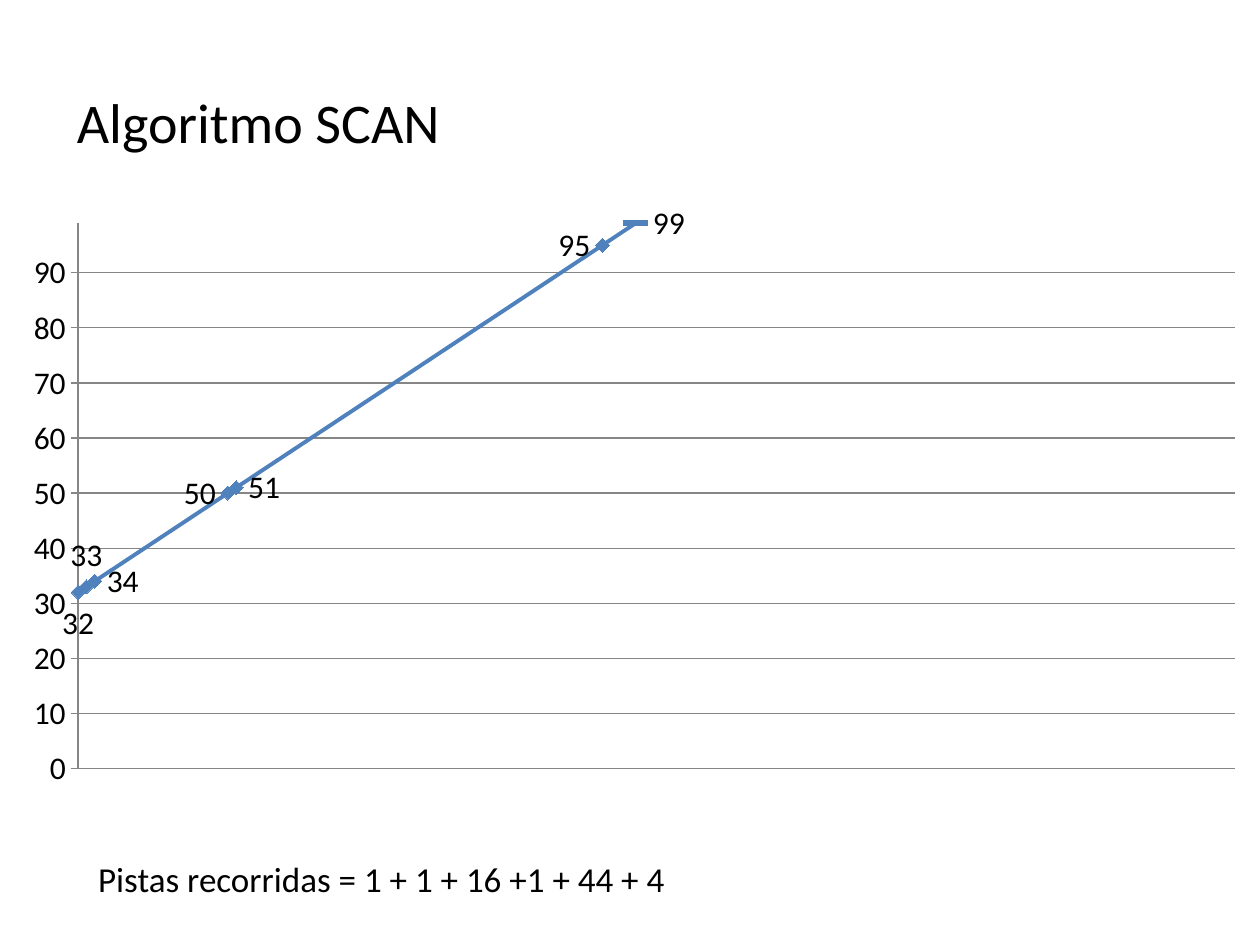
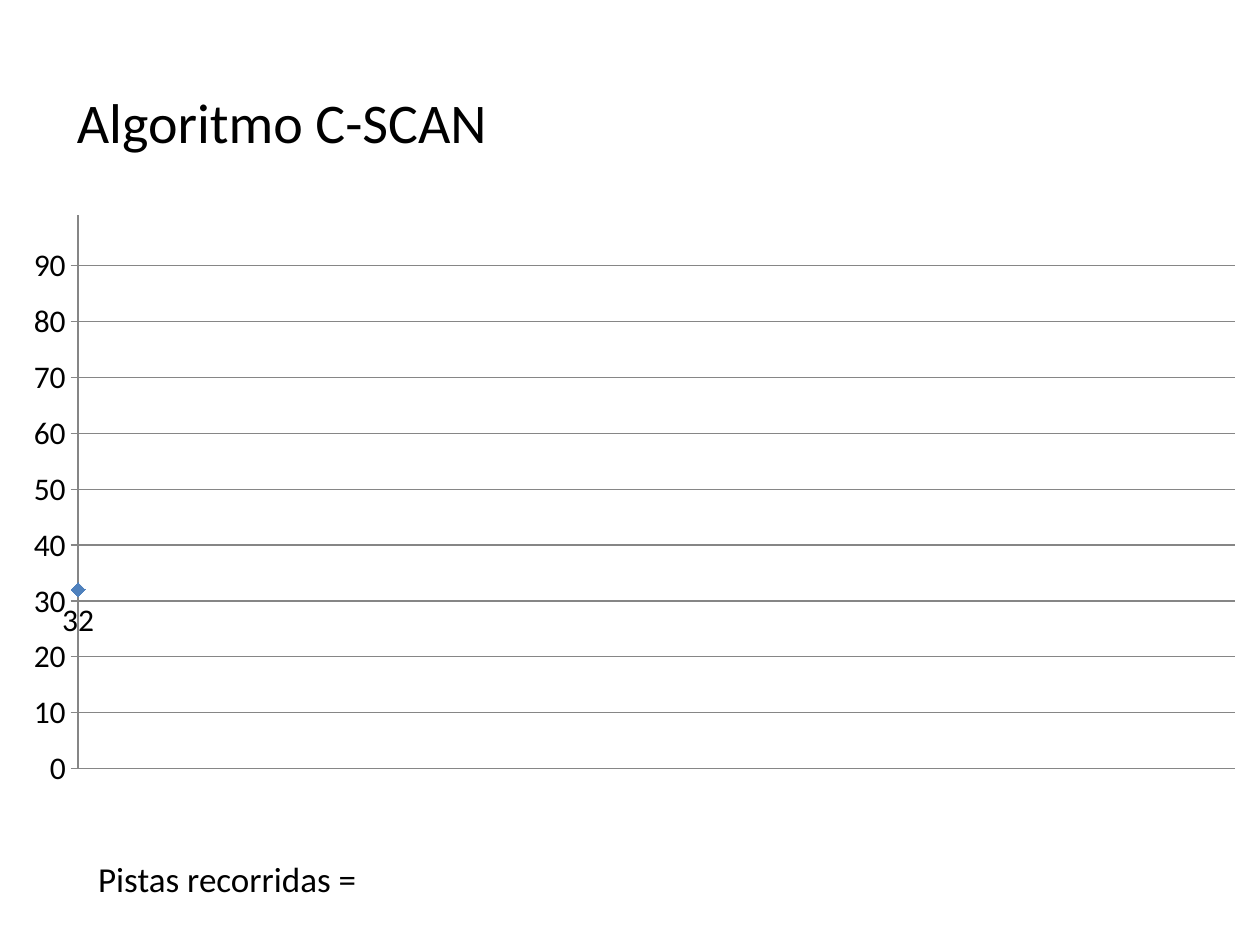
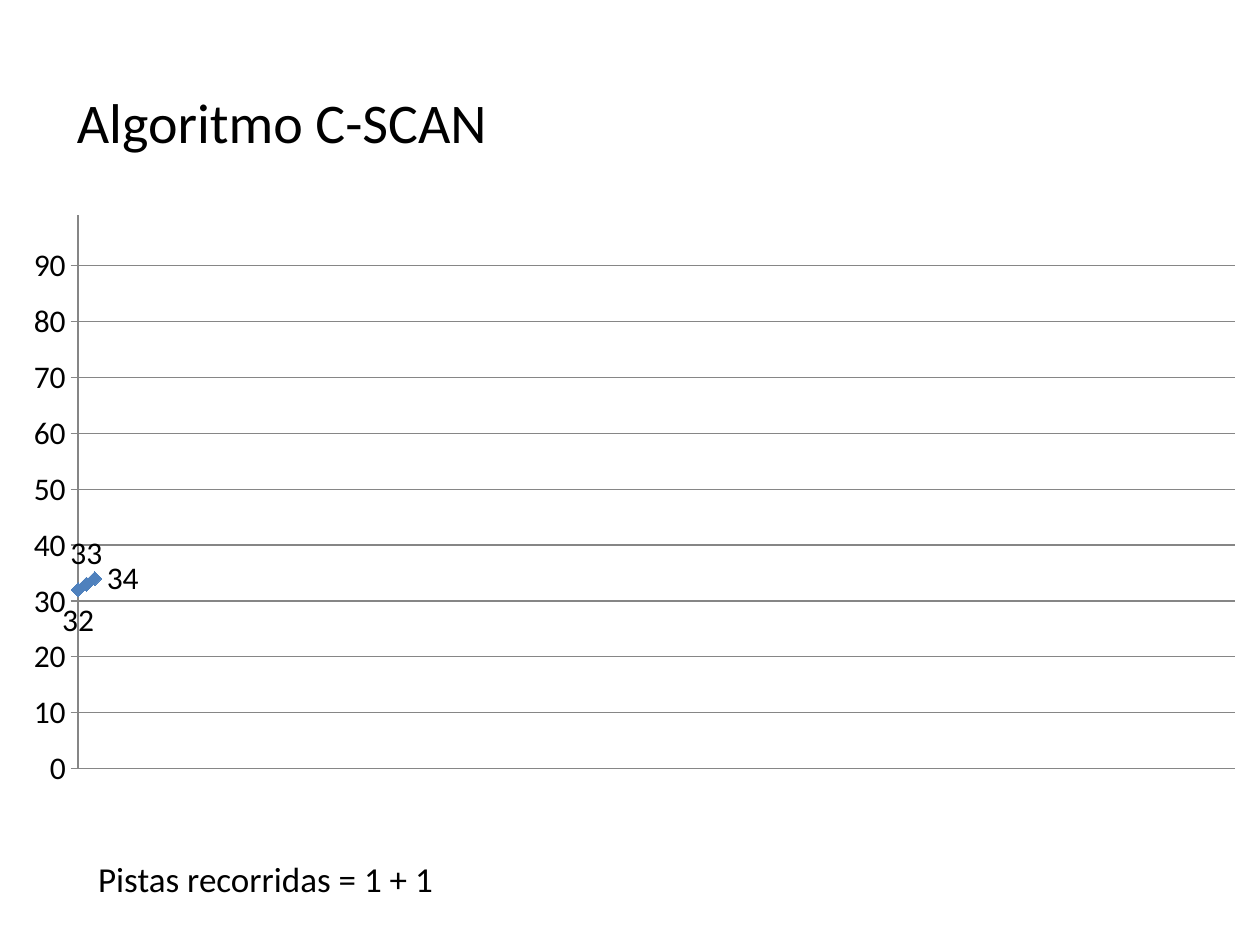
from dataclasses import dataclass

from pptx import Presentation
from pptx.chart.data import XyChartData
from pptx.dml.color import RGBColor
from pptx.enum.chart import XL_CHART_TYPE as Kind
from pptx.enum.chart import XL_LABEL_POSITION as Pos
from pptx.enum.chart import XL_MARKER_STYLE as Mark
from pptx.enum.chart import XL_TICK_LABEL_POSITION as Tick
from pptx.enum.chart import XL_TICK_MARK as Tmark
from pptx.enum.text import MSO_ANCHOR, PP_ALIGN
from pptx.oxml import parse_xml
from pptx.oxml.ns import nsdecls
from pptx.util import Inches, Pt


@dataclass(frozen=True)
class Theme:
    face: str = "Calibri"
    ink: RGBColor = RGBColor(0, 0, 0)
    blue: RGBColor = RGBColor(0x4F, 0x81, 0xBD)
    gray: RGBColor = RGBColor(0x86, 0x86, 0x86)
    title: Pt = Pt(32)
    chart: Pt = Pt(18)
    note: Pt = Pt(20)


THEME = Theme()
LAST = 99  # highest track of the disk
SPAN = 139

# title, tracks in the order visited, sum of the moves, top of the plot
SLIDES = [
    ("Algoritmo SCAN", [32, 33, 34, 50, 51, 95, 99],
     "Pistas recorridas = 1 + 1 + 16 +1 + 44 + 4", 1.77),
    ("Algoritmo C-SCAN", [32], "Pistas recorridas =", 1.71),
    ("Algoritmo C-SCAN", [32, 33, 34], "Pistas recorridas = 1 + 1", 1.71),
]
SIDES = [Pos.BELOW, Pos.ABOVE, Pos.RIGHT, Pos.LEFT, Pos.RIGHT, Pos.LEFT,
         Pos.RIGHT]

TITLE = (0.51, 0.29, 9, 1.34)
CHART = (0.07, 1.62, 9.93, 4.72)
NOTE = (0.68, 6.58, 8.42, 0.79)
PLOT_LEFT, PLOT_RIGHT, PLOT_END = 0.62, 9.8, 6.1


def box(dims):
    return [Inches(n) for n in dims]


def write(shape, text, size):
    frame = shape.text_frame
    frame.word_wrap = True
    frame.vertical_anchor = MSO_ANCHOR.MIDDLE
    frame.text = text
    para = frame.paragraphs[0]
    para.alignment = PP_ALIGN.LEFT
    style(para.font, size)


def style(font, size):
    font.name, font.size = THEME.face, size
    font.color.rgb = THEME.ink


def stroke(line, color, width):
    line.color.rgb, line.width = color, Pt(width)


def set_mark(marker, kind, size):
    marker.style, marker.size = kind, size
    marker.format.fill.solid()
    marker.format.fill.fore_color.rgb = THEME.blue
    marker.format.line.color.rgb = THEME.blue


def place_plot(chart, top):
    """Fix the inner plot area at the given slide position."""
    left, up, wide, high = CHART
    parts = {
        "x": (PLOT_LEFT - left) / wide,
        "y": (top - up) / high,
        "w": (PLOT_RIGHT - PLOT_LEFT) / wide,
        "h": (PLOT_END - top) / high,
    }
    modes = "".join(f'<c:{k}Mode val="edge"/>' for k in "xy")
    sizes = "".join(f'<c:{k} val="{v:.4f}"/>' for k, v in parts.items())
    area = chart._chartSpace.chart.plotArea
    for old in area.findall("{*}layout"):
        area.remove(old)
    area.insert(0, parse_xml(
        f'<c:layout {nsdecls("c")}><c:manualLayout>'
        f'<c:layoutTarget val="inner"/>{modes}{sizes}'
        '</c:manualLayout></c:layout>'))


def set_axes(chart):
    moves, tracks = chart.category_axis, chart.value_axis
    for axis, top in ((moves, SPAN), (tracks, LAST)):
        axis.minimum_scale, axis.maximum_scale = 0, top
        axis.minor_tick_mark = Tmark.NONE
        stroke(axis.format.line, THEME.gray, 0.75)
    moves.has_major_gridlines = False
    moves.major_tick_mark = Tmark.NONE
    moves.tick_label_position = Tick.NONE
    tracks.major_unit = 10
    tracks.major_tick_mark = Tmark.OUTSIDE
    tracks.has_major_gridlines = True
    stroke(tracks.major_gridlines.format.line, THEME.gray, 0.75)


def add_path(slide, tracks, top):
    data = XyChartData()
    path = data.add_series("Series 1")
    for track in tracks:
        path.add_data_point(track - tracks[0], track)
    chart = slide.shapes.add_chart(
        Kind.XY_SCATTER_LINES, *box(CHART), data).chart
    chart.has_legend = chart.has_title = False
    style(chart.font, THEME.chart)
    place_plot(chart, top)
    set_axes(chart)

    plot = chart.plots[0]
    plot.vary_by_categories = False
    line = plot.series[0]
    line.smooth = False
    stroke(line.format.line, THEME.blue, 2.25)
    set_mark(line.marker, Mark.DIAMOND, 8)
    for i, track in enumerate(tracks):
        point = line.points[i]
        label = point.data_label
        style(label.font, THEME.chart)
        label.position = SIDES[i]
        if track == LAST:
            set_mark(point.marker, Mark.DASH, 14)
            stroke(point.format.line, THEME.blue, 2.25)


def main():
    deck = Presentation()
    deck.slide_width, deck.slide_height = Inches(10), Inches(7.5)
    for title, tracks, note, top in SLIDES:
        slide = deck.slides.add_slide(deck.slide_layouts[5])
        add_path(slide, tracks, top)
        head = slide.shapes.title
        head.left, head.top, head.width, head.height = box(TITLE)
        write(head, title, THEME.title)
        write(slide.shapes.add_textbox(*box(NOTE)), note, THEME.note)
    deck.save("out.pptx")


if __name__ == "__main__":
    main()
